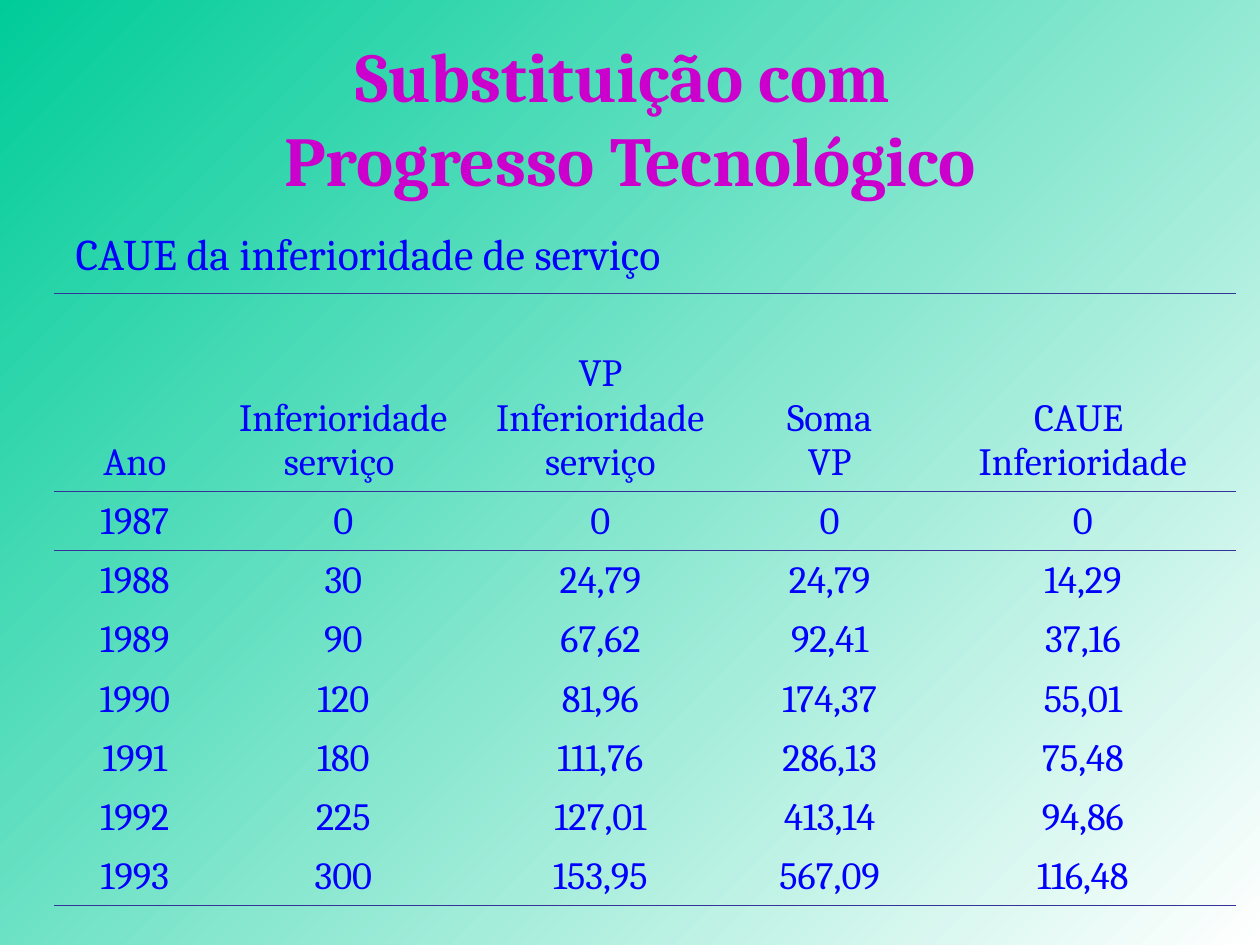
from lxml.etree import SubElement
from pptx import Presentation
from pptx.dml.color import RGBColor
from pptx.enum.text import MSO_ANCHOR as Anchor, MSO_AUTO_SIZE as AutoSize, PP_ALIGN as Align
from pptx.oxml.ns import qn
from pptx.util import Inches, Pt

FONT = "Cambria"
MAGENTA, BLUE, INDIGO = "CC00CC", "0000FF", "333399"
GREEN, WHITE = "00CC99", "FFFFFF"
PLAIN_STYLE = "{2D5ABB26-0587-4C30-8999-92F81FD0307C}"
COLUMN_WIDTHS = [1.28, 2.03, 2.05, 1.59, 2.43]
HEADER_HEIGHT, YEAR_HEIGHT = 1.57, 0.47
COSTS = [
    ["Ano", "Inferioridade\nserviço ", "VP\nInferioridade\nserviço", "Soma\nVP", "CAUE \nInferioridade"],
    ["1987", "0", "0", "0", "0"],
    ["1988", "30", "24,79", "24,79", "14,29"],
    ["1989", "90", "67,62", "92,41", "37,16"],
    ["1990", "120", "81,96", "174,37", "55,01"],
    ["1991", "180", "111,76", "286,13", "75,48"],
    ["1992", "225", "127,01", "413,14", "94,86"],
    ["1993", "300", "153,95", "567,09", "116,48"],
]


def color(hex_value):
    return RGBColor.from_string(hex_value)


def add_run(paragraph, text, size, hex_value, bold=False):
    run = paragraph.add_run()
    run.text = text
    run.font.name = FONT
    run.font.size = Pt(size)
    run.font.bold = bold
    run.font.color.rgb = color(hex_value)


def place(shape, box):
    shape.left, shape.top, shape.width, shape.height = (Inches(length) for length in box)


def paint_background(slide):
    fill = slide.background.fill
    fill.gradient()
    fill.gradient_angle = 315
    for stop, hex_value in zip(fill.gradient_stops, (GREEN, WHITE)):
        stop.color.rgb = color(hex_value)


def fill_title(title, box):
    place(title, box)
    frame = title.text_frame
    frame.auto_size = AutoSize.NONE
    frame.vertical_anchor = Anchor.MIDDLE
    heading = frame.paragraphs[0]
    heading.alignment = Align.CENTER
    add_run(heading, "Substituição com ", 40, MAGENTA, bold=True)
    heading.add_line_break()
    add_run(heading, "Progresso Tecnológico", 40, MAGENTA, bold=True)


def fill_subtitle(body, box):
    place(body, box)
    frame = body.text_frame
    frame.auto_size = AutoSize.NONE
    subtitle = frame.paragraphs[0]
    properties = subtitle._p.get_or_add_pPr()
    properties.set("marL", str(Inches(0.38)))
    properties.set("indent", str(Inches(-0.38)))
    SubElement(properties, qn("a:buNone"))
    subtitle.alignment = Align.JUSTIFY
    subtitle.space_before = Pt(0)
    add_run(subtitle, "CAUE da inferioridade de serviço", 25, BLUE)


def add_rule(cell, side):
    rule = SubElement(cell._tc.get_or_add_tcPr(), qn(f"a:{side}"), w=str(Pt(1.08)))
    SubElement(SubElement(rule, qn("a:solidFill")), qn("a:srgbClr"), val=INDIGO)


def fill_cell(cell, text, sides):
    cell.vertical_anchor = Anchor.BOTTOM
    for side in sides:
        add_rule(cell, side)
    cell.fill.background()
    frame = cell.text_frame
    for index, line in enumerate(text.split("\n")):
        paragraph = frame.add_paragraph() if index else frame.paragraphs[0]
        paragraph.alignment = Align.CENTER
        add_run(paragraph, line, 22, BLUE)


def add_cost_table(slide, box):
    place_args = [Inches(length) for length in box]
    table = slide.shapes.add_table(len(COSTS), len(COLUMN_WIDTHS), *place_args).table
    table.horz_banding = False
    table.first_row = False
    table._tbl.tblPr.find(qn("a:tableStyleId")).text = PLAIN_STYLE
    for column, width in zip(table.columns, COLUMN_WIDTHS):
        column.width = Inches(width)
    last = len(COSTS) - 1
    rules = {0: ["lnT", "lnB"], 1: ["lnT"], last: ["lnB"]}
    for row, values in enumerate(COSTS):
        table.rows[row].height = Inches(YEAR_HEIGHT if row else HEADER_HEIGHT)
        for column, value in enumerate(values):
            fill_cell(table.cell(row, column), value, rules.get(row, []))


def main():
    deck = Presentation()
    deck.slide_width, deck.slide_height = Inches(10), Inches(7.5)
    slide = deck.slides.add_slide(deck.slide_layouts[1])
    paint_background(slide)
    fill_title(slide.shapes.title, (0.5, 0.3, 9, 1.25))
    fill_subtitle(slide.placeholders[1], (0.5, 1.75, 8.91, 0.82))
    add_cost_table(slide, (0.43, 2.33, sum(COLUMN_WIDTHS), HEADER_HEIGHT + 7 * YEAR_HEIGHT))
    deck.save("out.pptx")


if __name__ == "__main__":
    main()
